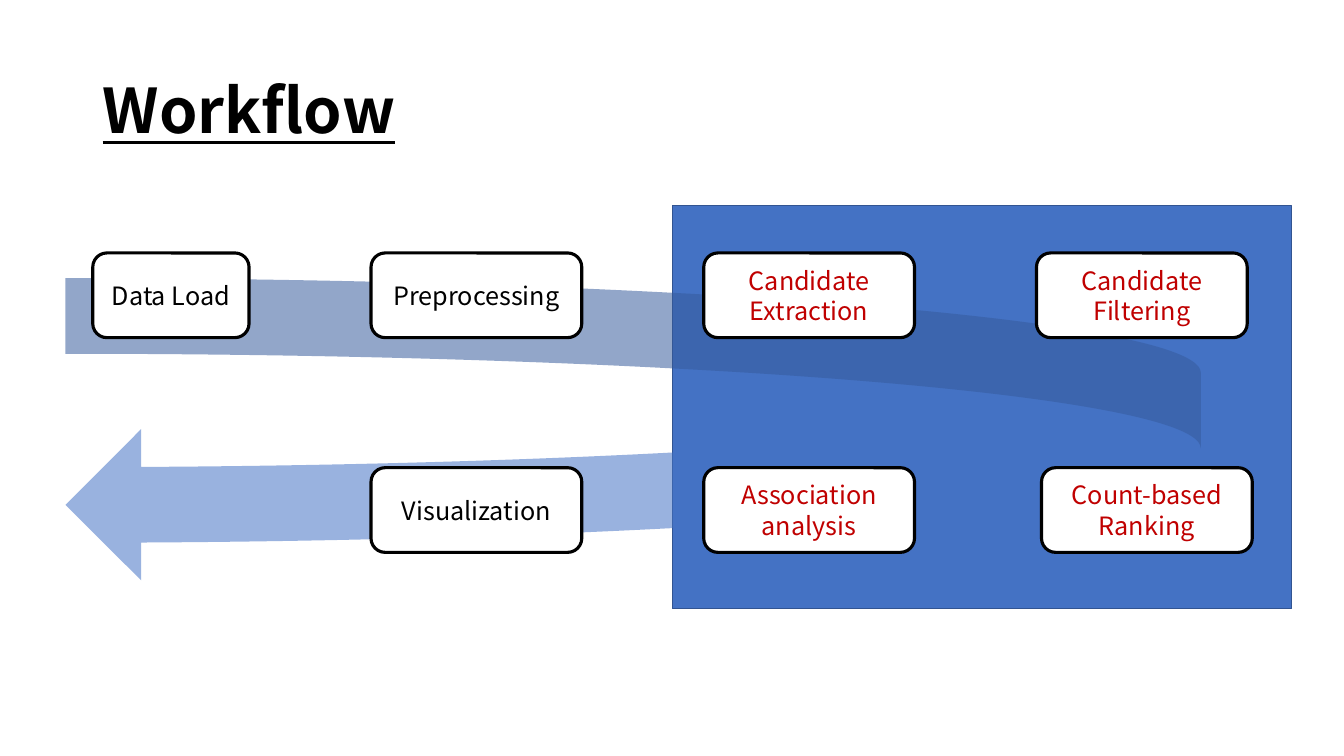
from dataclasses import dataclass

from lxml import etree
from pptx import Presentation
from pptx.dml.color import RGBColor
from pptx.enum.shapes import MSO_SHAPE
from pptx.enum.text import MSO_ANCHOR, PP_ALIGN
from pptx.oxml.ns import qn
from pptx.util import Inches, Pt

RECTANGLE = MSO_SHAPE.RECTANGLE
ROUNDED = MSO_SHAPE.ROUNDED_RECTANGLE
CURVED_ARROW = MSO_SHAPE.CURVED_LEFT_ARROW
MIDDLE = MSO_ANCHOR.MIDDLE
CENTER = PP_ALIGN.CENTER


@dataclass(frozen=True)
class Theme:
    font: str = "Noto Sans CJK KR"
    title_size: int = 44
    step_size: int = 18
    black: RGBColor = RGBColor(0x00, 0x00, 0x00)
    white: RGBColor = RGBColor(0xFF, 0xFF, 0xFF)
    red: RGBColor = RGBColor(0xC0, 0x00, 0x00)
    blue: RGBColor = RGBColor(0x44, 0x72, 0xC4)
    dark_blue: RGBColor = RGBColor(0x32, 0x54, 0x91)


THEME = Theme()
TOP_ROW, BOTTOM_ROW = 2.51, 4.64
STEP_WIDTH, STEP_HEIGHT = 2.09, 0.84
STEPS = [
    ("Data Load", 0.92, TOP_ROW, 1.55, THEME.black),
    ("Preprocessing", 3.68, TOP_ROW, STEP_WIDTH, THEME.black),
    ("Candidate Extraction", 6.98, TOP_ROW, STEP_WIDTH, THEME.red),
    ("Candidate Filtering", 10.28, TOP_ROW, STEP_WIDTH, THEME.red),
    ("Count-based Ranking", 10.33, BOTTOM_ROW, STEP_WIDTH, THEME.red),
    ("Association analysis", 6.98, BOTTOM_ROW, STEP_WIDTH, THEME.red),
    ("Visualization", 3.68, BOTTOM_ROW, STEP_WIDTH, THEME.black),
]


def write(frame, text, size, color):
    frame.word_wrap = True
    frame.vertical_anchor = MIDDLE
    paragraph = frame.paragraphs[0]
    paragraph.text = text
    paragraph.font.name = THEME.font
    paragraph.font.size = Pt(size)
    paragraph.font.color.rgb = color
    return paragraph


def add_title(slide, text):
    title = slide.shapes.add_textbox(
        Inches(0.92), Inches(0.4), Inches(11.5), Inches(1.45))
    heading = write(title.text_frame, text, THEME.title_size, THEME.black)
    heading.line_spacing = 0.9
    heading.font.bold = True
    heading.font.underline = True


def add_block(slide, kind, left, top, width, height, fill, line=None, line_width=1):
    block = slide.shapes.add_shape(
        kind, Inches(left), Inches(top), Inches(width), Inches(height))
    block.shadow.inherit = False
    block.fill.solid()
    block.fill.fore_color.rgb = fill
    if line is None:
        block.line.fill.background()
    else:
        block.line.color.rgb = line
        block.line.width = Pt(line_width)
    return block


def set_opacity(block, percent):
    color = block.fill._xPr.find(qn("a:solidFill"))[0]
    etree.SubElement(color, qn("a:alpha")).set("val", str(percent * 1000))


def add_step(slide, label, left, top, width, color):
    step = add_block(slide, ROUNDED, left, top, width, STEP_HEIGHT,
                     THEME.white, THEME.black, 2.25)
    write(step.text_frame, label, THEME.step_size, color).alignment = CENTER


def main():
    deck = Presentation()
    deck.slide_width, deck.slide_height = Inches(13.33), Inches(7.5)
    slide = deck.slides.add_slide(deck.slide_layouts[6])

    add_title(slide, "Workflow")
    add_block(slide, RECTANGLE, 6.67, 2.04, 6.14, 4, THEME.blue, THEME.dark_blue)
    flow_arrow = add_block(slide, CURVED_ARROW, 0.65, 2.76, 11.26, 3, THEME.blue)
    set_opacity(flow_arrow, 54)
    for step in STEPS:
        add_step(slide, *step)

    deck.save("out.pptx")


if __name__ == "__main__":
    main()
